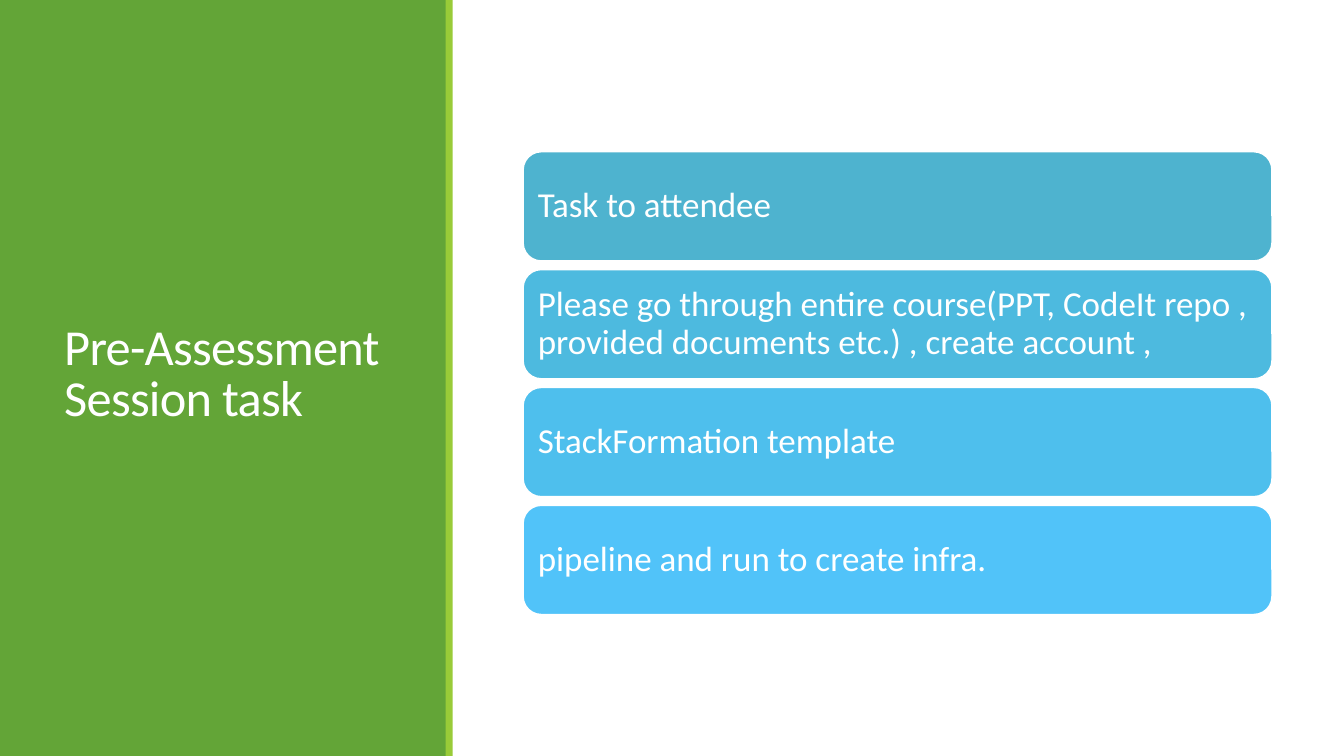
"""Build the pre-assessment task slide."""
import pptx
import pptx.util
import pptx.dml.color
import pptx.enum.shapes
import pptx.enum.text

Cm = pptx.util.Cm
Pt = pptx.util.Pt
KIND = pptx.enum.shapes.MSO_SHAPE

TITLE = "Pre-Assessment Session task"
TASKS = [
    ("Task to attendee", "4EB3CF"),
    ("Please go through entire course(PPT, CodeIt repo , "
     "provided documents etc.) , create account ,", "4DBADF"),
    ("StackFormation template", "4EBFED"),
    ("pipeline and run to create infra.", "51C3F9"),
]
WIDE, HIGH = 33.87, 19.05
LEFT, TOP, WIDTH, HEIGHT, STEP = 13.18, 3.82, 18.88, 2.76, 2.97


def tint(part, color):
    if hasattr(part, "solid"):
        part.solid()
        part.fore_color.rgb = pptx.dml.color.RGBColor.from_string(color)
    else:
        part.rgb = pptx.dml.color.RGBColor.from_string(color)


def block(slide, kind, box, color, edge=None):
    shape = slide.shapes.add_shape(kind, *map(Cm, box))
    shape.shadow.inherit = False
    tint(shape.fill, color)
    if edge:
        tint(shape.line.fill, edge)
        shape.line.width = Pt(1.25)
    else:
        shape.line.fill.background()
    return shape


def write(shape, text, size, lead, side, color="FFFFFF", track=0):
    frame = shape.text_frame
    frame.word_wrap = True
    frame.vertical_anchor = pptx.enum.text.MSO_ANCHOR.MIDDLE
    frame.margin_left = frame.margin_right = Cm(side)
    para = frame.paragraphs[0]
    para.alignment = pptx.enum.text.PP_ALIGN.LEFT
    para.line_spacing = lead
    run = para.add_run()
    run.text = text
    run.font.name = "Calibri"
    run.font.size = Pt(size)
    tint(run.font.color, color)
    if track:
        run._r.get_or_add_rPr().set("spc", str(int(track * 100)))


def main():
    deck = pptx.Presentation()
    deck.slide_width, deck.slide_height = Cm(WIDE), Cm(HIGH)
    slide = deck.slides.add_slide(deck.slide_layouts[6])

    block(slide, KIND.RECTANGLE, (0, 0, 11.25, HIGH), "63A537")
    title = slide.shapes.add_textbox(Cm(1.37), Cm(1.45), Cm(8.56), Cm(16.03))
    write(title, TITLE, 36, 0.85, 0.25, track=-0.5)
    block(slide, KIND.RECTANGLE, (11.23, 0, 0.18, HIGH), "99CB38")

    for row, (text, color) in enumerate(TASKS):
        box = (LEFT, TOP + row * STEP, WIDTH, HEIGHT)
        card = block(slide, KIND.ROUNDED_RECTANGLE, box, color, "FFFFFF")
        write(card, text, 25, 0.9, 0.24)

    deck.save("out.pptx")


if __name__ == "__main__":
    main()
